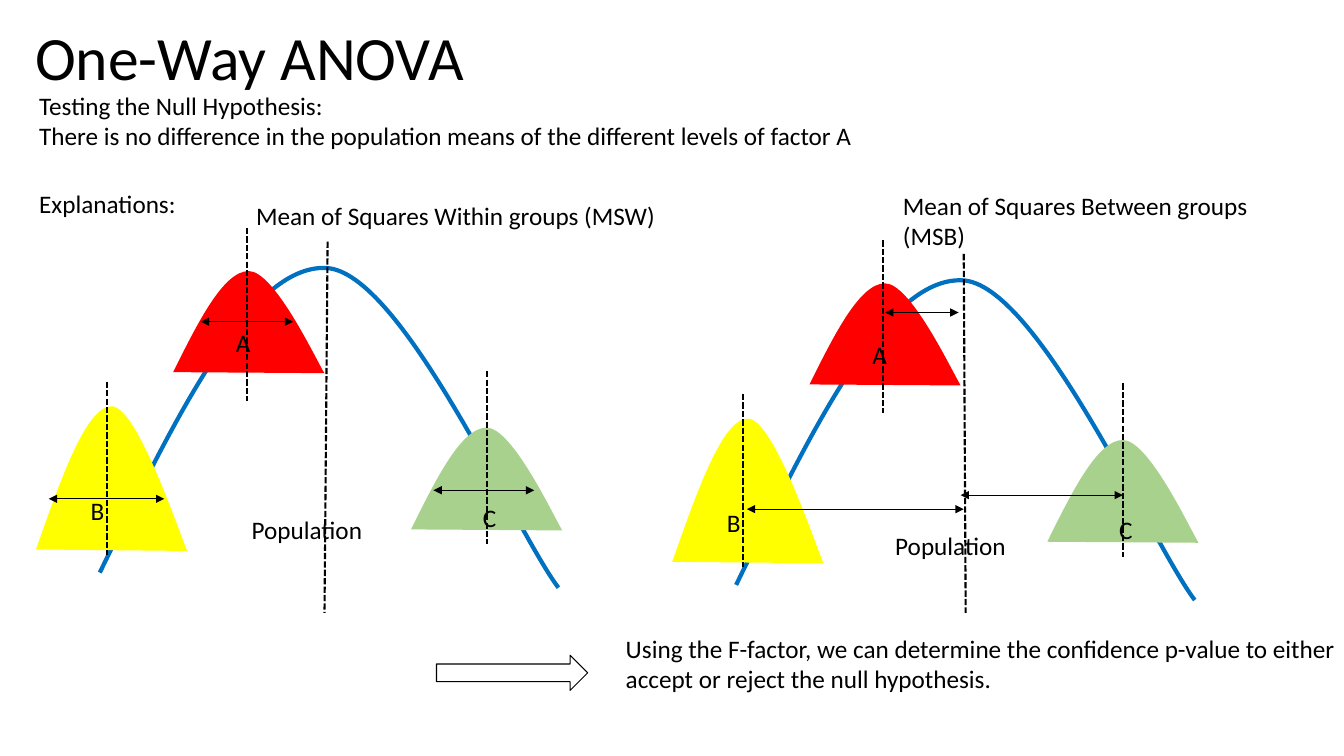
from dataclasses import dataclass

import pptx
import pptx.dml.color
import pptx.enum.dml
import pptx.enum.shapes
import pptx.enum.text
import pptx.oxml
import pptx.oxml.ns
import pptx.shapes.autoshape
import pptx.shapes.shapetree
import pptx.util

Point = tuple[float, float]
Shapes = pptx.shapes.shapetree.SlideShapes


@dataclass(frozen=True)
class Theme:
    font: str = "Calibri"
    title_size: float = 44
    body_size: float = 18
    ink: str = "000000"
    curve: str = "0070C0"
    group_a: str = "FF0000"
    group_b: str = "FFFF00"
    group_c: str = "A9D18E"
    curve_width: float = 3
    dash_width: float = 1.5
    thin_width: float = 0.75


THEME = Theme()


@dataclass(frozen=True)
class Group:
    """A sample group; lengths are measured from the left panel's position."""
    name: str
    color: str
    left: float
    base: float
    height: float
    mean_x: float
    mean_top: float
    label_at: Point


@dataclass(frozen=True)
class Arrow:
    start: float
    end: float
    y: float


@dataclass(frozen=True)
class Panel:
    heading: str
    heading_at: Point
    heading_width: float
    offset: Point
    population_at: Point
    population_line: tuple[Point, Point]
    arrows: tuple[Arrow, ...]


GROUPS = (
    Group("B", THEME.group_b, 25.7, 392.5, 102.3, 76.3, 272.7, (57.7, 350.2)),
    Group("A", THEME.group_a, 123.7, 265.8, 72.2, 176.4, 162.8, (161.5, 230)),
    Group("C", THEME.group_c, 293.6, 378.2, 72.7, 347.8, 265.1, (337.8, 355)),
)
PANELS = (
    Panel("Mean of Squares Within groups (MSW)", (175.9, 139.3), 316, (0, 0),
          (172.7, 363.6), ((234, 172.6), (231.8, 437.8)),
          (Arrow(143.4, 209.4, 229.8), Arrow(34.8, 117.4, 356.3), Arrow(309.6, 381.6, 350.2))),
    Panel("Mean of Squares Between groups (MSB)", (637.9, 132.5), 261.4, (454.5, 8.8),
          (632.4, 375.1), ((688.4, 181.4), (689.8, 437.8)),
          (Arrow(632.2, 684.7, 223.2), Arrow(533.5, 688.4, 363.7), Arrow(686.2, 802.1, 353.7))),
)
POPULATION_CURVE = ((71.3, 409), (124.6, 299.5), (177.8, 189.4), (232.6, 191.4),
                    (286.6, 193), (368.6, 380.2), (398.9, 419.8))
HILL_PROFILE = ((0, 0), (1 / 6, 0.5), (1 / 3, 1), (0.5, 1), (2 / 3, 1), (0.93, 0.17), (1, -0.01))
HILL_WIDTH = 108
MEAN_LENGTH = 123.7
LABEL_HEIGHT = 36


def rgb(color: str) -> pptx.dml.color.RGBColor:
    return pptx.dml.color.RGBColor.from_string(color)


def add_text(shapes: Shapes, text: str, at: Point, width: float, height: float, *,
             size: float = THEME.body_size, wrap: bool = True, fit: bool = True,
             middle: bool = False, spacing: float | None = None) -> None:
    box = shapes.add_textbox(*map(pptx.util.Pt, (*at, width, height)))
    frame = box.text_frame
    frame.word_wrap = wrap
    if fit:
        frame.auto_size = pptx.enum.text.MSO_AUTO_SIZE.SHAPE_TO_FIT_TEXT
    if middle:
        frame.vertical_anchor = pptx.enum.text.MSO_ANCHOR.MIDDLE
    frame.text = text
    for paragraph in frame.paragraphs:
        paragraph.line_spacing = spacing
        paragraph.font.name = THEME.font
        paragraph.font.size = pptx.util.Pt(size)
        paragraph.font.color.rgb = rgb(THEME.ink)


def add_line(shapes: Shapes, start: Point, end: Point, *, dashed: bool = False) -> None:
    """Draw a dashed line, or a thin line with an arrowhead at each end."""
    connector = shapes.add_connector(pptx.enum.shapes.MSO_CONNECTOR.STRAIGHT,
                                     *map(pptx.util.Pt, (*start, *end)))
    connector.line.color.rgb = rgb(THEME.ink)
    connector.line.width = pptx.util.Pt(THEME.dash_width if dashed else THEME.thin_width)
    properties = connector.element.spPr
    if dashed:
        connector.line.dash_style = pptx.enum.dml.MSO_LINE.SQUARE_DOT
    else:
        outline = properties.find(pptx.oxml.ns.qn("a:ln"))
        for tag in ("a:headEnd", "a:tailEnd"):
            outline.append(pptx.oxml.parse_xml(
                f'<{tag} {pptx.oxml.ns.nsdecls("a")} type="triangle"/>'))
    properties.append(pptx.oxml.parse_xml(f'<a:effectLst {pptx.oxml.ns.nsdecls("a")}/>'))


def add_curve(shapes: Shapes, points: tuple[Point, ...],
              offset: Point) -> pptx.shapes.autoshape.Shape:
    """Draw a chain of cubic curves, where neighbours share an end point."""
    corners = [(pptx.util.Pt(x + offset[0]), pptx.util.Pt(y + offset[1])) for x, y in points]
    builder = shapes.build_freeform(*corners[0])
    builder.add_line_segments(corners[3::3], close=False)
    shape = builder.convert_to_shape()
    shape.shadow.inherit = False
    segments = list(shape.element.iter(pptx.oxml.ns.qn("a:lnTo")))
    for index, segment in enumerate(segments):
        handles = corners[3 * index + 1:3 * index + 4]
        marks = "".join(f'<a:pt x="{x - shape.left}" y="{y - shape.top}"/>' for x, y in handles)
        segment.getparent().replace(segment, pptx.oxml.parse_xml(
            f'<a:cubicBezTo {pptx.oxml.ns.nsdecls("a")}>{marks}</a:cubicBezTo>'))
    return shape


def add_population_curve(shapes: Shapes, offset: Point) -> None:
    shape = add_curve(shapes, POPULATION_CURVE, offset)
    shape.fill.background()
    shape.line.color.rgb = rgb(THEME.curve)
    shape.line.width = pptx.util.Pt(THEME.curve_width)


def add_hill(shapes: Shapes, group: Group, offset: Point) -> None:
    points = tuple((group.left + x * HILL_WIDTH, group.base - y * group.height)
                   for x, y in HILL_PROFILE)
    shape = add_curve(shapes, points, offset)
    shape.fill.solid()
    shape.fill.fore_color.rgb = rgb(group.color)
    shape.line.fill.background()


def add_panel(shapes: Shapes, panel: Panel) -> None:
    dx, dy = panel.offset
    add_population_curve(shapes, panel.offset)
    for group in GROUPS:
        add_hill(shapes, group, panel.offset)
    add_text(shapes, "Population", panel.population_at, 119.5, LABEL_HEIGHT, wrap=False)
    add_line(shapes, *panel.population_line, dashed=True)
    for arrow in panel.arrows:
        add_line(shapes, (arrow.start, arrow.y), (arrow.end, arrow.y))
    add_text(shapes, panel.heading, panel.heading_at, panel.heading_width, 65.5)
    for group in GROUPS:
        x, y = group.label_at
        add_text(shapes, group.name, (x + dx, y + dy), 31, LABEL_HEIGHT, wrap=False)
    for group in GROUPS:
        x, top = group.mean_x + dx, group.mean_top + dy
        add_line(shapes, (x, top), (x, top + MEAN_LENGTH), dashed=True)


def add_conclusion(shapes: Shapes) -> None:
    add_text(shapes, "Using the F-factor, we can determine the confidence p-value to either "
             "accept or reject the null hypothesis.", (439.9, 448.6), 537, 65.5)
    arrow = shapes.add_shape(pptx.enum.shapes.MSO_SHAPE.RIGHT_ARROW,
                             *map(pptx.util.Pt, (311.8, 468, 108, 25.2)))
    arrow.shadow.inherit = False
    arrow.fill.background()
    arrow.line.color.rgb = rgb(THEME.ink)
    arrow.line.width = pptx.util.Pt(THEME.thin_width)


def main() -> None:
    presentation = pptx.Presentation()
    presentation.slide_width = pptx.util.Pt(960)
    presentation.slide_height = pptx.util.Pt(540)
    shapes = presentation.slides.add_slide(presentation.slide_layouts[6]).shapes
    add_text(shapes, "One-Way ANOVA", (18, -1.8), 864, 90, size=THEME.title_size,
             fit=False, middle=True, spacing=0.9)
    add_text(shapes, "Testing the Null Hypothesis:\nThere is no difference in the population "
             "means of the different levels of factor A", (20.9, 61), 918, 51)
    for panel in PANELS:
        add_panel(shapes, panel)
    add_conclusion(shapes)
    add_text(shapes, "Explanations:", (20.9, 131), 480, LABEL_HEIGHT)
    presentation.save("out.pptx")


if __name__ == "__main__":
    main()
